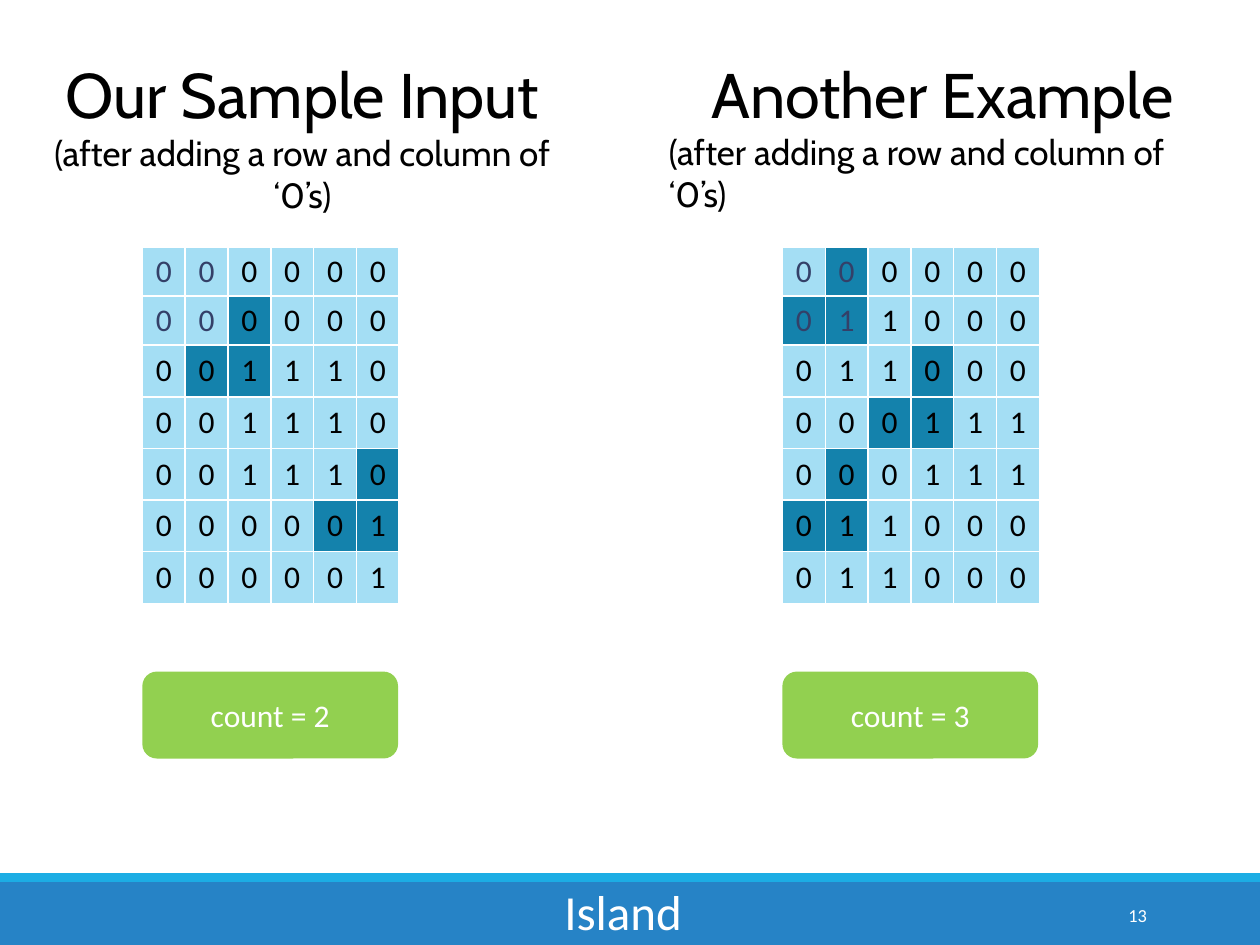
from lxml import etree
from pptx import Presentation
from pptx.dml.color import RGBColor
from pptx.enum.shapes import MSO_SHAPE
from pptx.enum.text import MSO_ANCHOR, MSO_AUTO_SIZE, PP_ALIGN
from pptx.oxml.ns import qn
from pptx.util import Inches, Pt

LEFT, CENTER, RIGHT = PP_ALIGN.LEFT, PP_ALIGN.CENTER, PP_ALIGN.RIGHT
TOP, MIDDLE = MSO_ANCHOR.TOP, MSO_ANCHOR.MIDDLE
RECT, ROUNDED = MSO_SHAPE.RECTANGLE, MSO_SHAPE.ROUNDED_RECTANGLE
NO_AUTOFIT = MSO_AUTO_SIZE.NONE

BLACK, WHITE, NAVY = "000000", "FFFFFF", "344068"
BLUE, CYAN, GREEN = "2683C6", "1CADE4", "92D050"
PALE, DARK = "A4DEF4", "1482AC"
SUBTITLE = "(after adding a row and column of ‘0’s)"
GRID_W, COLUMN_W = 2.03, 0.34

SAMPLE = ["000000", "000000", "001110", "001110", "001110", "000001", "000001"]
EXAMPLE = ["000000", "011000", "011000", "000111", "000111", "011000", "011000"]


def rgb(value):
    return RGBColor.from_string(value)


def find_corners(grid):
    return [(r, c) for r in range(1, len(grid)) for c in range(1, len(grid[0]))
            if grid[r][c] == "1" and grid[r - 1][c] == grid[r][c - 1] == "0"]


class Deck:
    body_font = "Calibri"
    heading_font = "Cabin"

    def __init__(self, prs):
        self.s = prs.slides.add_slide(prs.slide_layouts[5])

    def paragraph(self, p, text, size, color, align=CENTER, font=body_font):
        p.text = text
        p.alignment = align
        p.font.size = Pt(size)
        p.font.name = font
        p.font.color.rgb = rgb(color)

    def text(self, x, y, w, h, text, size, align=LEFT, anchor=TOP):
        tf = self.s.shapes.add_textbox(Inches(x), Inches(y), Inches(w), Inches(h)).text_frame
        tf.word_wrap = True
        tf.vertical_anchor = anchor
        self.paragraph(tf.paragraphs[0], text, size, WHITE, align)

    def heading(self, sp, x, h, title, subtitle_align):
        sp.left, sp.top, sp.width, sp.height = Inches(x), Inches(0.39), Inches(4.54), Inches(h)
        tf = sp.text_frame
        tf.word_wrap = True
        tf.auto_size = NO_AUTOFIT
        tf.vertical_anchor = TOP
        self.paragraph(tf.paragraphs[0], title, 36, BLACK, font=self.heading_font)
        self.paragraph(tf.add_paragraph(), SUBTITLE, 20, BLACK, subtitle_align, self.heading_font)

    def shape(self, kind, x, y, w, h, fill, text=""):
        sp = self.s.shapes.add_shape(kind, Inches(x), Inches(y), Inches(w), Inches(h))
        sp.shadow.inherit = False
        sp.fill.solid()
        sp.fill.fore_color.rgb = rgb(fill)
        sp.line.fill.background()
        if text:
            sp.text_frame.vertical_anchor = MIDDLE
            self.paragraph(sp.text_frame.paragraphs[0], text, 18, WHITE)

    def borders(self, cell):
        tc_pr = cell._tc.get_or_add_tcPr()
        for side in ("a:lnL", "a:lnR", "a:lnT", "a:lnB"):
            ln = etree.SubElement(tc_pr, qn(side), w=str(Pt(1)))
            fill = etree.SubElement(ln, qn("a:solidFill"))
            etree.SubElement(fill, qn("a:srgbClr"), val=WHITE)

    def grid(self, x, values, corners):
        marked = {cell for r, c in corners for cell in ((r, c), (r - 1, c), (r, c - 1))}
        table = self.s.shapes.add_table(len(values), len(values[0]), Inches(x), Inches(1.96),
                                        Inches(GRID_W), Inches(2.83)).table
        for column in table.columns:
            column.width = Inches(COLUMN_W)
        for r, row in enumerate(values):
            table.rows[r].height = Inches(0.39 if r < 2 else 0.41)
            for c, value in enumerate(row):
                cell = table.cell(r, c)
                cell.margin_left = cell.margin_right = Inches(0.03)
                cell.margin_top = cell.margin_bottom = Inches(0.03)
                cell.vertical_anchor = MIDDLE
                self.borders(cell)
                cell.fill.solid()
                cell.fill.fore_color.rgb = rgb(DARK if (r, c) in marked else PALE)
                color = NAVY if r < 2 and c < 2 else BLACK
                self.paragraph(cell.text_frame.paragraphs[0], value, 18, color)

    def island_count(self, x, values):
        corners = find_corners(values)
        self.grid(x, values, corners)
        self.shape(ROUNDED, x, 5.33, GRID_W, 0.69, GREEN, f"count = {len(corners)}")


def main():
    prs = Presentation()
    prs.slide_width, prs.slide_height = Inches(10), Inches(7.5)
    deck = Deck(prs)
    deck.shape(RECT, 0, 7, 10, 0.5, BLUE)
    deck.shape(RECT, 0, 6.93, 10, 0.07, CYAN)

    deck.heading(deck.s.shapes.title, 0.13, 1.65, "Our Sample Input", CENTER)
    deck.island_count(1.13, SAMPLE)
    example_box = deck.s.shapes.add_textbox(0, 0, 0, 0)
    deck.heading(example_box, 5.21, 1.04, "Another Example", LEFT)
    deck.island_count(6.21, EXAMPLE)

    deck.text(4.38, 6.95, 1.15, 0.57, "Island", 28)
    deck.text(8.12, 7.06, 1.08, 0.4, "13", 10.5, RIGHT, MIDDLE)
    prs.save("out.pptx")


if __name__ == "__main__":
    main()
